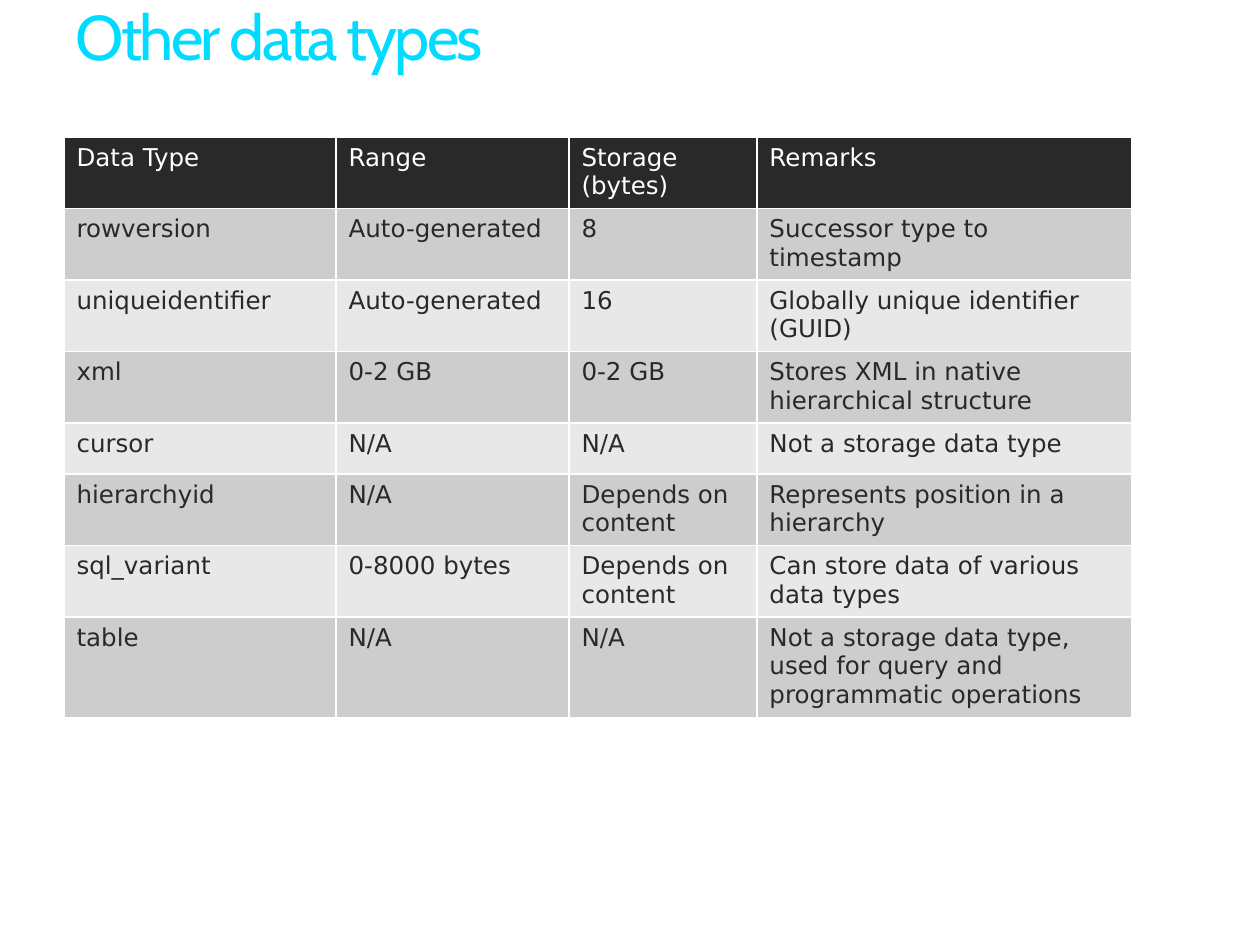
from dataclasses import dataclass
from typing import NamedTuple

from lxml import etree
from pptx import Presentation
from pptx import util as u
from pptx.dml import color
from pptx.enum import text
from pptx.oxml import ns

EMU_PER_PX = u.Inches(1) / 126


@dataclass(frozen=True)
class Theme:
    title_font: str = "Cabin"
    body_font: str = "DejaVu Sans"
    title_size: int = 36
    body_size: int = 14
    title: str = "00DCFF"
    dark: str = "292929"
    white: str = "FFFFFF"
    bands: tuple[str, str] = ("CDCDCD", "E8E8E8")
    border_width: int = 1


class Box(NamedTuple):
    left: int
    top: int
    width: int
    height: int


class DataType(NamedTuple):
    name: str
    range: str
    storage: str
    remarks: str


THEME = Theme()
TITLE_BOX = Box(63, 0, 1071, 102)
TABLE_LEFT, TABLE_TOP, ROW_HEIGHT = 64, 137, 51
COLUMN_WIDTHS = (272, 233, 188, 375)

HEADER = DataType("Data Type", "Range", "Storage\n(bytes)", "Remarks")
DATA_TYPES = [
    DataType("rowversion", "Auto-generated", "8", "Successor type to timestamp"),
    DataType("uniqueidentifier", "Auto-generated", "16", "Globally unique identifier (GUID)"),
    DataType("xml", "0-2 GB", "0-2 GB", "Stores XML in native hierarchical structure"),
    DataType("cursor", "N/A", "N/A", "Not a storage data type"),
    DataType("hierarchyid", "N/A", "Depends on content", "Represents position in a hierarchy"),
    DataType("sql_variant", "0-8000 bytes", "Depends on content",
             "Can store data of various data types"),
    DataType("table", "N/A", "N/A",
             "Not a storage data type, used for query and programmatic operations"),
]


def px(n: int) -> u.Emu:
    return u.Emu(round(n * EMU_PER_PX))


def write(tf, content: str, *, font: str, size: int, fill: str,
          line_spacing: float = 1.0, tracking: float = 0) -> None:
    """Fill the first paragraph; a newline becomes a line break."""
    p = tf.paragraphs[0]
    p.alignment = text.PP_ALIGN.LEFT
    p.line_spacing = line_spacing
    for i, line in enumerate(content.split("\n")):
        if i:
            p.add_line_break()
        r = p.add_run()
        r.text = line
        r.font.name, r.font.size, r.font.bold = font, u.Pt(size), False
        r.font.color.rgb = color.RGBColor.from_string(fill)
        if tracking:
            r.font._element.set("spc", str(round(tracking * 100)))


def add_borders(cell, rgb: str, width: int) -> None:
    tc_pr = cell._tc.get_or_add_tcPr()
    for side in ("lnL", "lnR", "lnT", "lnB"):
        ln = etree.SubElement(tc_pr, ns.qn(f"a:{side}"), w=str(u.Pt(width)))
        solid = etree.SubElement(ln, ns.qn("a:solidFill"))
        etree.SubElement(solid, ns.qn("a:srgbClr"), val=rgb)


def add_title(s, content: str, box: Box) -> None:
    tf = s.shapes.add_textbox(*map(px, box)).text_frame
    tf.word_wrap = True
    tf.vertical_anchor = text.MSO_ANCHOR.TOP
    write(tf, content, font=THEME.title_font, size=THEME.title_size,
          fill=THEME.title, line_spacing=0.9, tracking=-1.5)


def add_data_table(s, rows: list[DataType]) -> None:
    box = Box(TABLE_LEFT, TABLE_TOP, sum(COLUMN_WIDTHS), ROW_HEIGHT * len(rows))
    table = s.shapes.add_table(len(rows), len(COLUMN_WIDTHS), *map(px, box)).table
    table.first_row = table.horz_banding = False
    for column, width in zip(table.columns, COLUMN_WIDTHS):
        column.width = px(width)
    for i, row in enumerate(rows):
        # Dark header, then alternating grey bands
        back = THEME.bands[(i - 1) % 2] if i else THEME.dark
        ink = THEME.dark if i else THEME.white
        table.rows[i].height = px(ROW_HEIGHT)
        for j, value in enumerate(row):
            cell = table.cell(i, j)
            add_borders(cell, THEME.white, THEME.border_width)
            cell.fill.solid()
            cell.fill.fore_color.rgb = color.RGBColor.from_string(back)
            write(cell.text_frame, value, font=THEME.body_font,
                  size=THEME.body_size, fill=ink)


def main() -> None:
    prs = Presentation()
    prs.slide_width, prs.slide_height = u.Inches(10), u.Inches(7.5)
    s = prs.slides.add_slide(prs.slide_layouts[6])
    add_title(s, "Other data types", TITLE_BOX)
    add_data_table(s, [HEADER, *DATA_TYPES])
    prs.save("out.pptx")


if __name__ == "__main__":
    main()
